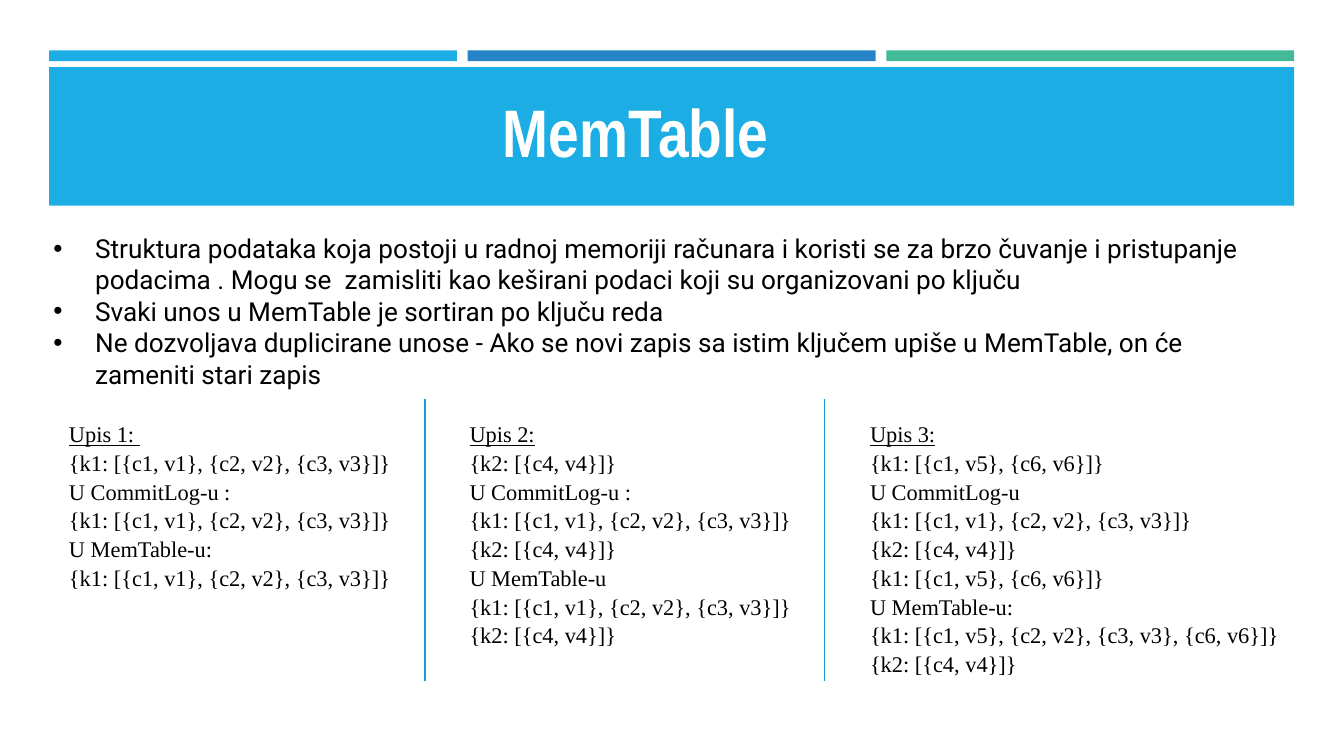
from collections import namedtuple

from lxml.etree import SubElement
from pptx import Presentation
from pptx.dml.color import RGBColor
from pptx.enum.shapes import MSO_CONNECTOR, MSO_SHAPE
from pptx.enum.text import MSO_ANCHOR, PP_ALIGN
from pptx.oxml.ns import qn
from pptx.util import Inches, Pt

COLS, ROWS = 1000, 562.5
CELL = Inches(0.01)
COLORS = {
    "sky": "1CADE4",
    "blue": "2683C6",
    "green": "42BA97",
    "line": "189CCE",
    "text": "000000",
    "title": "FFFFFF",
}
Box = namedtuple("Box", "x y w h")

BULLETS = [
    "Struktura podataka koja postoji u radnoj memoriji računara i koristi se za brzo "
    "čuvanje i pristupanje podacima . Mogu se  zamisliti kao keširani podaci koji su "
    "organizovani po ključu",
    "Svaki unos u MemTable je sortiran po ključu reda",
    "Ne dozvoljava duplicirane unose - Ako se novi zapis sa istim ključem upiše u "
    "MemTable, on će zameniti stari zapis",
]
ROW_1 = "{k1: [{c1, v1}, {c2, v2}, {c3, v3}]}"
ROW_2 = "{k2: [{c4, v4}]}"
ROW_3 = "{k1: [{c1, v5}, {c6, v6}]}"
MERGED = "{k1: [{c1, v5}, {c2, v2}, {c3, v3}, {c6, v6}]}"
WRITES = [
    (272, ["Upis 1: ", ROW_1, "U CommitLog-u :", ROW_1, "U MemTable-u:", ROW_1]),
    (272, ["Upis 2:", ROW_2, "U CommitLog-u :", ROW_1, ROW_2, "U MemTable-u", ROW_1, ROW_2]),
    (350, ["Upis 3:", ROW_3, "U CommitLog-u", ROW_1, ROW_2, ROW_3,
           "U MemTable-u:", MERGED, ROW_2]),
]


def rgb(name):
    return RGBColor.from_string(COLORS[name])


def place(box):
    return [round(v * CELL) for v in box]


def add_bar(slide, box, color):
    sp = slide.shapes.add_shape(MSO_SHAPE.RECTANGLE, *place(box))
    sp.shadow.inherit = False
    sp.fill.solid()
    sp.fill.fore_color.rgb = rgb(color)
    sp.line.fill.background()


def add_text(slide, box):
    tf = slide.shapes.add_textbox(*place(box)).text_frame
    tf.word_wrap = True
    return tf


def add_line(tf, index, text, size, font, color="text"):
    p = tf.add_paragraph() if index else tf.paragraphs[0]
    r = p.add_run()
    r.text = text
    r.font.size = Pt(size)
    r.font.name = font
    r.font.color.rgb = rgb(color)
    return p, r


def add_header(slide, box):
    gap, bar_h = 8, 8
    bar_w = (box.w - 2 * gap) / 3
    for i, color in enumerate(("sky", "blue", "green")):
        add_bar(slide, Box(box.x + i * (bar_w + gap), box.y, bar_w, bar_h), color)
    add_bar(slide, Box(box.x, box.y + 12.5, box.w, box.h - 12.5), "sky")

    tf = add_text(slide, Box(box.x + 223, box.y + 30, 427, 56))
    tf.vertical_anchor = MSO_ANCHOR.MIDDLE
    tf.margin_left = tf.margin_right = tf.margin_top = tf.margin_bottom = Inches(0.1)
    p, r = add_line(tf, 0, "MemTable", 36, "Arial Narrow", "title")
    p.alignment = PP_ALIGN.CENTER
    p.line_spacing = 1.07
    p.space_before, p.space_after = Pt(30), Pt(12)
    r.font.bold = True


def add_bullets(slide, box):
    tf = add_text(slide, box)
    indent = Inches(0.31)
    for i, text in enumerate(BULLETS):
        p, r = add_line(tf, i, text, 14, "Roboto")
        pPr = p._p.get_or_add_pPr()
        pPr.set("marL", str(indent))
        pPr.set("indent", str(-indent))
        SubElement(pPr, qn("a:buFont"), typeface="Arial")
        SubElement(pPr, qn("a:buChar"), char="•")


def add_divider(slide, x, top, bottom):
    ends = place((x, top, x, bottom))
    line = slide.shapes.add_connector(MSO_CONNECTOR.STRAIGHT, *ends)
    line.line.color.rgb = rgb("line")
    line.line.width = Pt(1)
    SubElement(line._element.spPr, qn("a:effectLst"))


def add_writes(slide, box):
    pitch = 298
    for i, (width, lines) in enumerate(WRITES):
        x = box.x + i * pitch
        if i:
            add_divider(slide, box.x - 22 + i * (pitch - 1), box.y, box.y + box.h)
        tf = add_text(slide, Box(x, box.y + 9.5, width, 8 + 21.5 * len(lines)))
        for j, text in enumerate(lines):
            p, r = add_line(tf, j, text, 12, "Times New Roman")
            p.alignment = PP_ALIGN.JUSTIFY
            p.line_spacing = 1.07
            r.font.underline = j == 0


def main():
    prs = Presentation()
    prs.slide_width, prs.slide_height = round(COLS * CELL), round(ROWS * CELL)
    slide = prs.slides.add_slide(prs.slide_layouts[6])
    add_header(slide, Box(36.5, 37.5, 926.5, 115.5))
    add_bullets(slide, Box(30, 168, 927, 128))
    add_writes(slide, Box(41.5, 297, 946, 210))
    prs.save("out.pptx")


if __name__ == "__main__":
    main()
